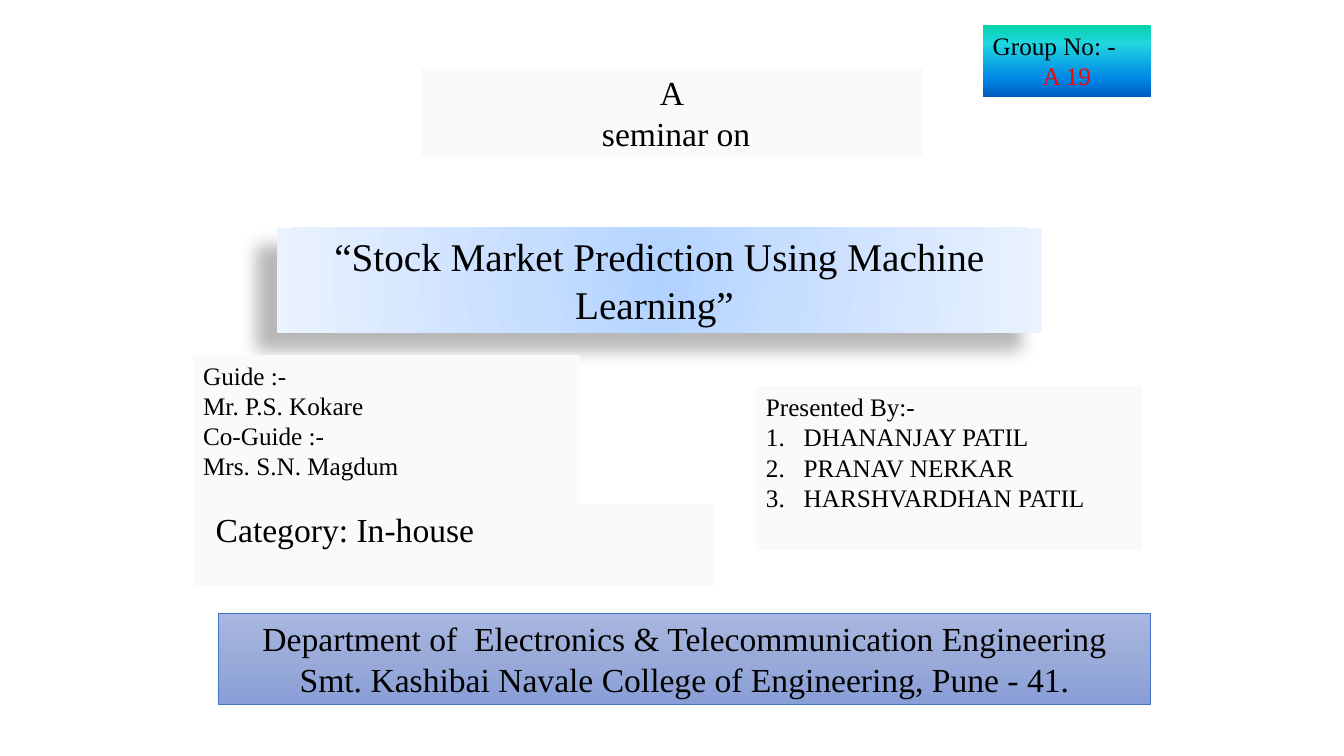
from pptx import Presentation, util as u
from pptx.dml.color import RGBColor
from pptx.enum import text
from pptx.oxml import parse_xml
from pptx.oxml.ns import nsdecls, qn

PX = 9525
FONT = "Times New Roman"
PALE = "FAFAFA"
BLACK = "000000"
RED = "FF0000"

RADIAL = ('<a:path path="circle"><a:fillToRect l="50000" t="50000" '
          'r="50000" b="50000"/></a:path>')
DOWNWARD = '<a:lin ang="5400000" scaled="0"/>'

TITLE_FILL = ([(0, "B0D2FF"), (35, "C7DEFF"), (100, "EAF2FF")], RADIAL)
COLLEGE_FILL = ([(0, "A8B7DF"), (50, "9AABD9"), (100, "889ED7")], DOWNWARD)
GROUP_FILL = ([(0, "03D4A8"), (25, "21D6E0"), (75, "0087E6"), (100, "005CBF")], DOWNWARD)

# Each line: words, then any of centre, number, indent, red
PANELS = [
    dict(at=(400, 64, 480, 87), fill=PALE, line=("FFFFFF", 1.5), size=24,
         lines=[("A", "centre"), (" seminar on", "centre")]),
    dict(at=(264, 217, 728, 100), fill=TITLE_FILL, shadow=True, size=28,
         lines=[("“Stock Market Prediction Using Machine Learning” ", "centre")]),
    dict(at=(184, 338, 368, 156), fill=PALE, size=18,
         lines=[("Guide :-",), ("Mr. P.S. Kokare",),
                ("Co-Guide :-",), ("Mrs. S.N. Magdum",)]),
    dict(at=(720, 368, 368, 156), fill=PALE, size=18,
         lines=[("Presented By:-",), ("DHANANJAY PATIL", "number"),
                ("PRANAV NERKAR", "number"), ("HARSHVARDHAN PATIL", "number")]),
    dict(at=(208, 584, 888, 87), fill=COLLEGE_FILL, line=("4472C4", 0.5), size=24,
         lines=[("Department of  Electronics & Telecommunication Engineering", "centre"),
                ("Smt. Kashibai Navale College of Engineering, Pune - 41.", "centre")]),
    dict(at=(184, 480, 496, 78), fill=PALE, size=24,
         lines=[("Category: In-house", "indent")]),
    dict(at=(936, 24, 160, 68), fill=GROUP_FILL, size=18,
         lines=[("Group No: -",), ("A 19", "centre", "red")]),
]


def colour(value):
    return RGBColor.from_string(value)


def fill_gradient(box, stops, direction):
    box.fill.gradient()
    gradient = box._element.spPr.find(qn("a:gradFill"))
    marks = "".join(f'<a:gs pos="{place * 1000}"><a:srgbClr val="{value}"/></a:gs>'
                    for place, value in stops)
    gradient.getparent().replace(gradient, parse_xml(
        f'<a:gradFill {nsdecls("a")} rotWithShape="1">'
        f'<a:gsLst>{marks}</a:gsLst>{direction}</a:gradFill>'))


def add_shadow(box):
    blur, distance = u.Pt(11.8), u.Pt(19.7)
    box._element.spPr.append(parse_xml(
        f'<a:effectLst {nsdecls("a")}><a:outerShdw blurRad="{blur}" dist="{distance}" '
        f'dir="{141 * 60000}" algn="ctr" rotWithShape="0"><a:srgbClr val="{BLACK}">'
        '<a:alpha val="28000"/></a:srgbClr></a:outerShdw></a:effectLst>'))


def write_line(para, words, styles, size):
    para.text = words
    if "centre" in styles:
        para.alignment = text.PP_ALIGN.CENTER
    properties = para._p.get_or_add_pPr()
    if "number" in styles:
        properties.set("marL", str(36 * PX))
        properties.set("indent", str(-36 * PX))
        properties.append(parse_xml(f'<a:buAutoNum {nsdecls("a")} type="arabicPeriod"/>'))
    if "indent" in styles:
        properties.set("marL", str(12 * PX))
    for span in para.runs:
        span.font.name = FONT
        span.font.size = u.Pt(size)
        span.font.color.rgb = colour(RED if "red" in styles else BLACK)


def add_panel(page, at, fill, size, lines, line=None, shadow=False):
    box = page.shapes.add_textbox(*(length * PX for length in at))
    if isinstance(fill, str):
        box.fill.solid()
        box.fill.fore_color.rgb = colour(fill)
    else:
        fill_gradient(box, *fill)
    if line:
        box.line.color.rgb = colour(line[0])
        box.line.width = u.Pt(line[1])
    if shadow:
        add_shadow(box)
    frame = box.text_frame
    frame.word_wrap = True
    frame.auto_size = text.MSO_AUTO_SIZE.NONE
    for index, (words, *styles) in enumerate(lines):
        para = frame.add_paragraph() if index else frame.paragraphs[0]
        write_line(para, words, styles, size)


def main():
    deck = Presentation()
    deck.slide_width, deck.slide_height = 1280 * PX, 720 * PX
    page = deck.slides.add_slide(deck.slide_layouts[6])
    for panel in PANELS:
        add_panel(page, **panel)
    deck.save("out.pptx")


if __name__ == "__main__":
    main()
